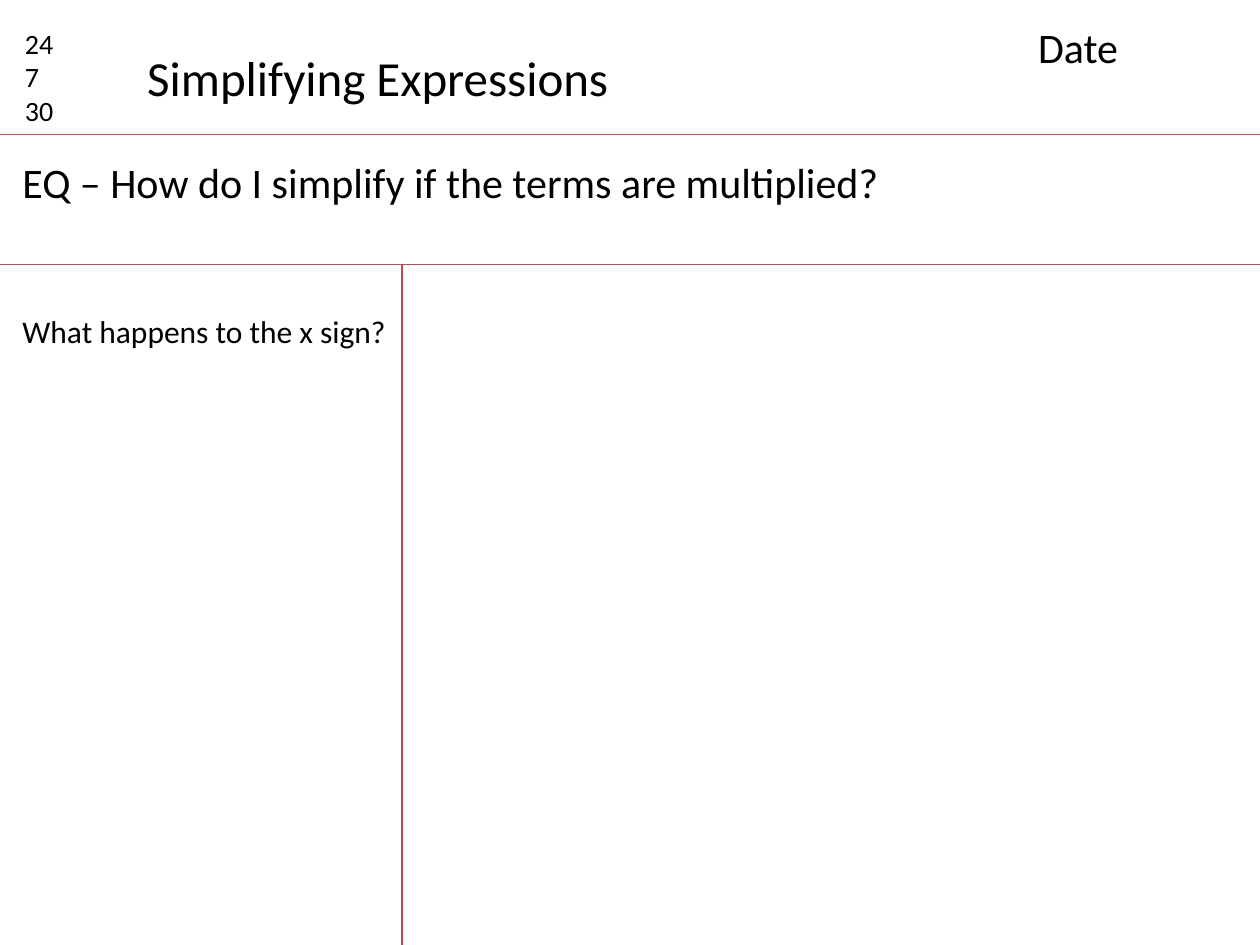
"""Build a Cornell notes slide on simplifying expressions."""
import pptx
import pptx.dml.color
import pptx.enum.shapes
import pptx.enum.text
import pptx.oxml.ns
import pptx.util
from lxml import etree

Inches = pptx.util.Inches
COLORS = {"rule": "BF4C48", "text": "000000"}
FONT = "Calibri"
WIDTH, HEIGHT = 10, 7.5
HEADER_BOTTOM, QUESTION_BOTTOM, CUE_RIGHT = 1.07, 2.1, 3.19

RULES = [
    (0, HEADER_BOTTOM, WIDTH, HEADER_BOTTOM),
    (0, QUESTION_BOTTOM, WIDTH, QUESTION_BOTTOM),
    (CUE_RIGHT, QUESTION_BOTTOM, CUE_RIGHT, HEIGHT),
]
NOTES = [
    (["24", "7", "30"], (0.1, 0.16, 0.63, 0.91), 16, True),
    (["Date"], (8.14, 0.12, 1.73, 0.5), 24, True),
    (["Simplifying Expressions"], (1.07, 0.33, 3.9, 0.57), 28, False),
    (["EQ – How do I simplify if the terms are multiplied?"],
     (0.08, 1.19, 8.9, 0.5), 24, True),
    (["What happens to the x sign?"], (0.08, 2.43, 3.25, 0.4), 18, True),
]


def color(name):
    return pptx.dml.color.RGBColor.from_string(COLORS[name])


def add_rule(slide, ends):
    rule = slide.shapes.add_connector(
        pptx.enum.shapes.MSO_CONNECTOR.STRAIGHT, *map(Inches, ends))
    rule.line.color.rgb = color("rule")
    rule.line.width = pptx.util.Pt(0.75)
    etree.SubElement(rule._element.spPr, pptx.oxml.ns.qn("a:effectLst"))


def add_note(slide, lines, place, size, wrap):
    frame = slide.shapes.add_textbox(*map(Inches, place)).text_frame
    frame.word_wrap = wrap
    frame.auto_size = pptx.enum.text.MSO_AUTO_SIZE.SHAPE_TO_FIT_TEXT
    for index, line in enumerate(lines):
        paragraph = frame.add_paragraph() if index else frame.paragraphs[0]
        run = paragraph.add_run()
        run.text = line
        run.font.name = FONT
        run.font.size = pptx.util.Pt(size)
        run.font.color.rgb = color("text")


def main():
    deck = pptx.Presentation()
    deck.slide_width, deck.slide_height = Inches(WIDTH), Inches(HEIGHT)
    slide = deck.slides.add_slide(deck.slide_layouts[6])
    for ends in RULES:
        add_rule(slide, ends)
    for note in NOTES:
        add_note(slide, *note)
    deck.save("out.pptx")


if __name__ == "__main__":
    main()
